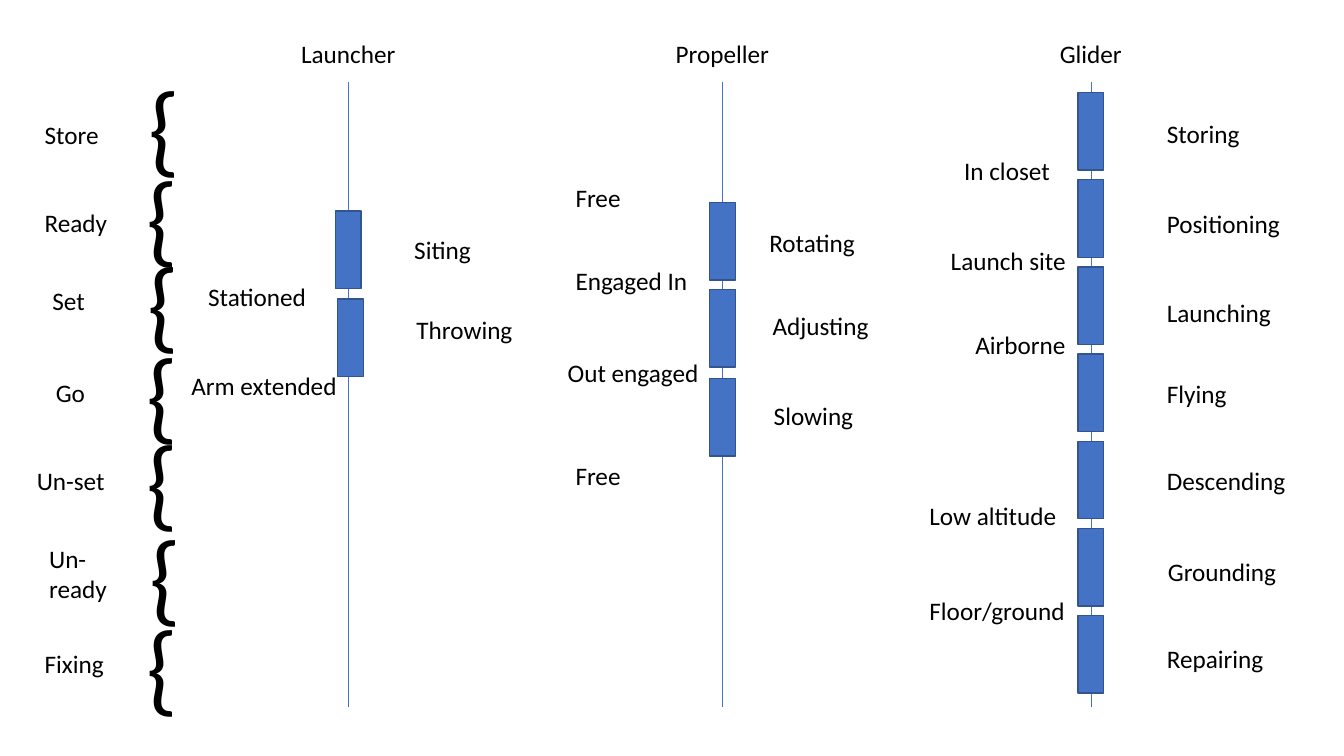
from pptx import Presentation
from pptx.dml.color import RGBColor
from pptx.enum.shapes import MSO_CONNECTOR, MSO_SHAPE
from pptx.enum.text import MSO_AUTO_SIZE, PP_ALIGN
from pptx.oxml.ns import qn
from pptx.util import Inches, Pt
from lxml.etree import SubElement

COLORS = {"text": "000000", "bar": "4472C4", "edge": "325491"}
FONT = "Calibri"

prs = Presentation()
prs.slide_width, prs.slide_height = Inches(13.33), Inches(7.5)
s = prs.slides.add_slide(prs.slide_layouts[6])

# Grid: 12 columns across; 7 state rows below the lane headings
COL = prs.slide_width / 12
ROW = Inches(0.865)
TOP = Inches(0.87)
LINE_H, TWO_LINES_H, BRACE_H = 0.46, 0.82, 1.51


def x_at(col):
    return round(col * COL)


def y_at(row):
    return round(TOP + row * ROW)


def rgb(name):
    return RGBColor.from_string(COLORS[name])


def add_text(text, x, y, w, h=LINE_H, size=18, align=PP_ALIGN.LEFT):
    """Text box at column x, vertically centred on row position y."""
    sp = s.shapes.add_textbox(x_at(x), y_at(y - h / 2), x_at(w), round(h * ROW))
    tf = sp.text_frame
    tf.word_wrap = True
    tf.auto_size = MSO_AUTO_SIZE.SHAPE_TO_FIT_TEXT
    p = tf.paragraphs[0]
    p.alignment = align
    r = p.add_run()
    r.text = text
    r.font.size, r.font.name = Pt(size), FONT
    r.font.color.rgb = rgb("text")


def add_axis(x, top, bottom):
    line = s.shapes.add_connector(
        MSO_CONNECTOR.STRAIGHT, x_at(x), y_at(top), x_at(x), y_at(bottom))
    line.line.color.rgb, line.line.width = rgb("bar"), Pt(0.5)
    SubElement(line._element.spPr, qn("a:effectLst"))


def add_bar(x, y, w=0.23, h=0.89):
    """State bar centred on column x, inside the row that starts at y."""
    sp = s.shapes.add_shape(MSO_SHAPE.RECTANGLE, x_at(x - w / 2),
                            y_at(y + (1 - h) / 2), x_at(w), round(h * ROW))
    sp.shadow.inherit = False
    sp.fill.solid()
    sp.fill.fore_color.rgb = rgb("bar")
    sp.line.color.rgb, sp.line.width = rgb("edge"), Pt(1)


def add_phases(box, phases):
    """Phase names, each with a brace over its row."""
    left, top, width, _ = box
    for name, dx, dy, brace_dx, brace_dy in phases:
        add_text("{", left + brace_dx, top + brace_dy, 0.52, BRACE_H, size=72)
        h = TWO_LINES_H if name == "Un-ready" else LINE_H
        add_text(name, left + dx, top + dy, width, h)


def add_lane(box, title, bars, labels):
    """Lifeline in the middle of the box, with bars and labels set from it."""
    left, top, width, height = box
    axis = left + width / 2
    add_axis(axis, top - 0.06, top + height + 0.1)
    add_text(title, axis - 1.12, top - 0.39, 2.24, align=PP_ALIGN.CENTER)
    for dx, dy in bars:
        add_bar(axis + dx, top + dy)
    for text, dx, dy in labels:
        add_text(text, axis + dx, top + dy, 1.5)


# Phases: name, its x and y, brace x and y
add_phases((0, 0, 1.01, 7), [
    ("Store", 0.31, 0.54, 1.24, 0.42),
    ("Ready", 0.31, 1.55, 1.22, 1.45),
    ("Set", 0.38, 2.44, 1.23, 2.44),
    ("Go", 0.41, 3.5, 1.22, 3.49),
    ("Un-set", 0.24, 4.51, 1.22, 4.48),
    ("Un-ready", 0.35, 5.58, 1.25, 5.57),
    ("Fixing", 0.31, 6.6, 1.22, 6.6),
])

# Lanes: states on the left of the lifeline, activities on the right
add_lane((1.61, 0, 3, 7), "Launcher", [(0, 1.36), (0.02, 2.37)], [
    ("Stationed", -1.34, 2.39), ("Arm extended", -1.49, 3.42),
    ("Siting", 0.5, 1.86), ("Throwing", 0.52, 2.77),
])
add_lane((4.95, 0, 3, 7), "Propeller", [(0, 1.26), (0, 2.26), (0, 3.28)], [
    ("Free", -1.4, 1.26), ("Engaged In", -1.4, 2.21),
    ("Out engaged", -1.47, 3.26), ("Free", -1.4, 4.45),
    ("Rotating", 0.33, 1.77), ("Adjusting", 0.36, 2.73), ("Slowing", 0.37, 3.76),
])
add_lane((8.24, 0, 3, 7), "Glider", [(0, i) for i in range(7)], [
    ("In closet", -1.22, 0.95), ("Launch site", -1.34, 1.98),
    ("Airborne", -1.12, 2.95), ("Low altitude", -1.53, 4.91),
    ("Floor/ground", -1.53, 6),
    ("Storing", 0.59, 0.52), ("Positioning", 0.59, 1.56),
    ("Launching", 0.59, 2.58), ("Flying", 0.59, 3.51),
    ("Descending", 0.59, 4.51), ("Grounding", 0.6, 5.55),
    ("Repairing", 0.59, 6.55),
])

prs.save("out.pptx")
